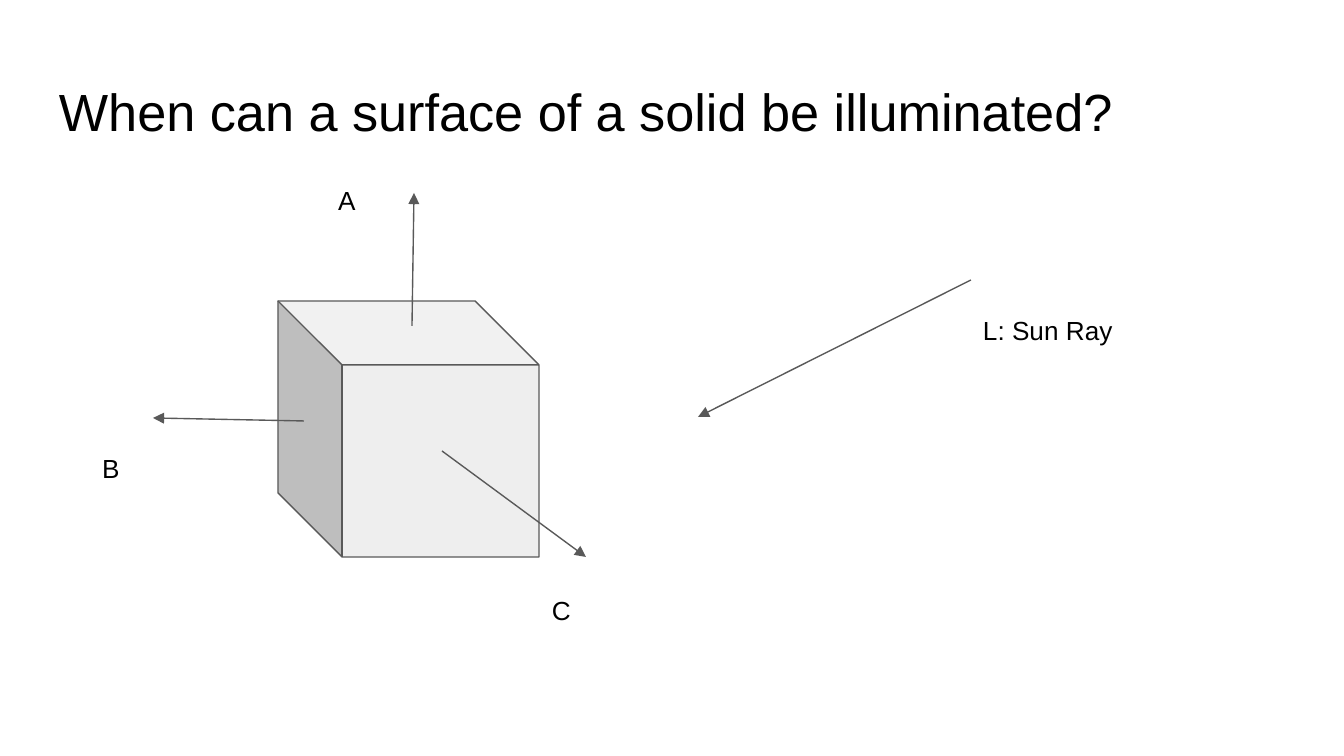
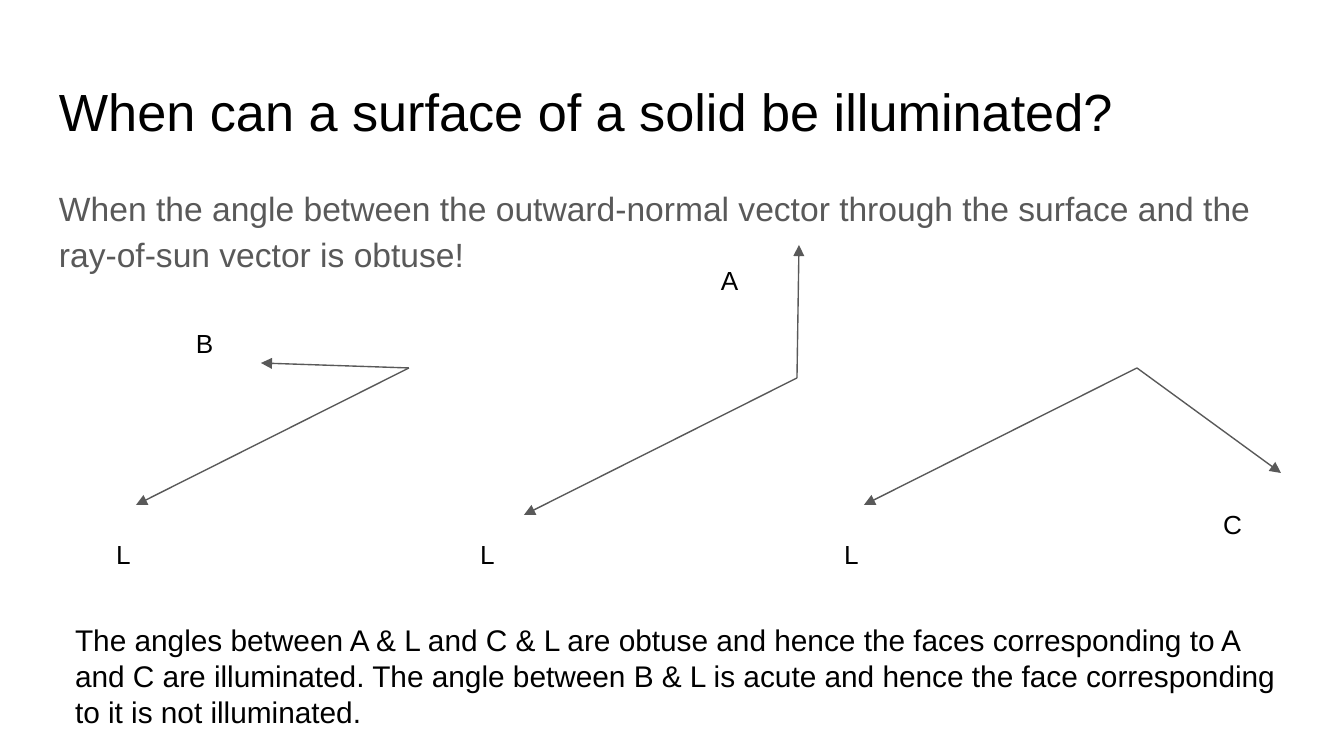
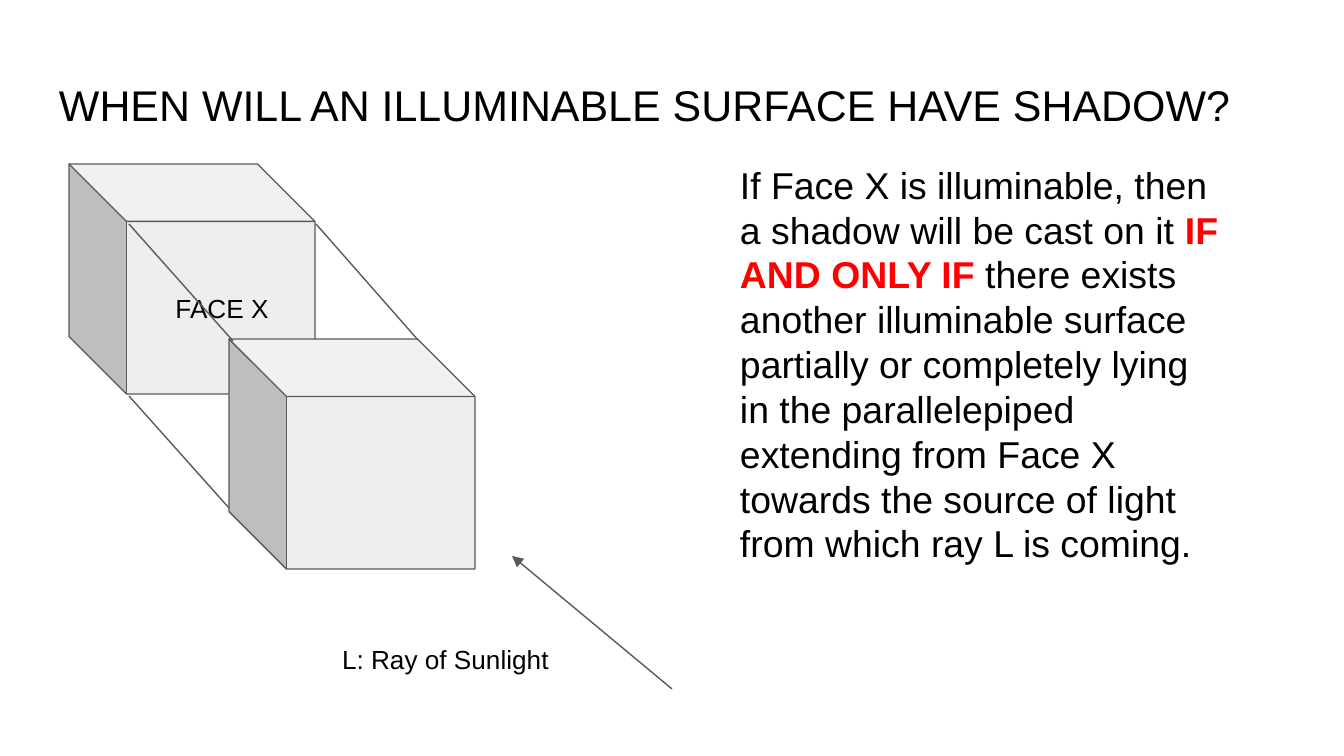
"""Three slides on when the faces of a solid are lit by the sun."""
import pptx
import pptx.dml.color
import pptx.enum.shapes
import pptx.enum.text
import pptx.oxml.ns
import pptx.util
from lxml import etree

RGB = pptx.dml.color.RGBColor
BLACK = RGB(0x00, 0x00, 0x00)
GREY = RGB(0x59, 0x59, 0x59)
PALE = RGB(0xEE, 0xEE, 0xEE)
RED = RGB(0xFF, 0x00, 0x00)
WIDE, HIGH = 1344, 756
SCALE = 9144000 / WIDE
ASK = "When can a surface of a solid be illuminated?"


def px(num):
    return pptx.util.Emu(round(num * SCALE))


def sub(node, tag, **attrs):
    return etree.SubElement(node, pptx.oxml.ns.qn(tag), attrs)


class Deck:
    font = "Arial"
    edge = pptx.util.Pt(0.75)
    inset = 13

    def __init__(self):
        self.prs = pptx.Presentation()
        self.prs.slide_width = px(WIDE)
        self.prs.slide_height = px(HIGH)
        self.slide = None

    def page(self, title, size=28, layout=5):
        self.slide = self.prs.slides.add_slide(self.prs.slide_layouts[layout])
        shape = self.slide.shapes.title
        self.place(shape, 46, 66, 1253, 84)
        self.fill(shape, [(title, BLACK, False)], size)

    def place(self, shape, *box):
        shape.left, shape.top, shape.width, shape.height = map(px, box)

    def fill(self, shape, runs, size, anchor=pptx.enum.text.MSO_ANCHOR.TOP):
        frame = shape.text_frame
        frame.word_wrap = True
        frame.auto_size = pptx.enum.text.MSO_AUTO_SIZE.NONE
        frame.vertical_anchor = anchor
        frame.margin_left = frame.margin_right = px(self.inset)
        frame.margin_top = frame.margin_bottom = px(self.inset)
        para = frame.paragraphs[0]
        para.alignment = pptx.enum.text.PP_ALIGN.LEFT
        para.space_before = pptx.util.Pt(0)
        for text, color, bold in runs:
            run = para.add_run()
            run.text = text
            run.font.name = self.font
            run.font.size = pptx.util.Pt(size)
            run.font.bold = bold
            run.font.color.rgb = color
        return para

    def body(self, text, box):
        shape = self.slide.placeholders[1]
        self.place(shape, *box)
        para = self.fill(shape, [(text, GREY, False)], 18)
        para.line_spacing = 1.15
        para.space_after = pptx.util.Pt(16)
        props = para._p.get_or_add_pPr()
        props.set("marL", "0")
        props.set("indent", "0")
        sub(props, "a:buNone")

    def text(self, runs, box, size=14):
        shape = self.slide.shapes.add_textbox(*map(px, box))
        self.fill(shape, runs, size)

    def label(self, text, left, top, width=63, height=54):
        self.text([(text, BLACK, False)], (left, top, width, height))

    def cube(self, box, text=None):
        kind = pptx.enum.shapes.MSO_SHAPE.CUBE
        shape = self.slide.shapes.add_shape(kind, *map(px, box))
        shape.adjustments[0] = 0.25
        shape._element.spPr.xfrm.set("flipH", "1")
        shape.shadow.inherit = False
        shape.fill.solid()
        shape.fill.fore_color.rgb = PALE
        shape.line.color.rgb = GREY
        shape.line.width = self.edge
        if text:
            para = self.fill(shape, [(text, BLACK, False)], 14,
                             pptx.enum.text.MSO_ANCHOR.MIDDLE)
            para._p.get_or_add_pPr().set("marL", str(px(36)))

    def line(self, start, end, arrow=True):
        kind = pptx.enum.shapes.MSO_CONNECTOR.STRAIGHT
        wire = self.slide.shapes.add_connector(kind, *map(px, start + end))
        wire.line.color.rgb = GREY
        wire.line.width = self.edge
        if arrow:
            sub(wire.line._get_or_add_ln(), "a:tailEnd", type="triangle")
        sub(wire._element.spPr, "a:effectLst")

    def ray(self, start):
        self.line(start, (start[0] - 273, start[1] + 137))


def solid(deck):
    deck.page(ASK)
    deck.cube((278, 301, 261, 256))
    for name, start, end, spot in (
        ("B", (304, 421), (153, 418), (89, 439)),
        ("C", (442, 451), (586, 557), (539, 581)),
        ("A", (412, 326), (414, 193), (325, 171)),
    ):
        deck.line(start, end)
        deck.label(name, *spot, height=62)
    deck.ray((971, 280))
    deck.label("L: Sun Ray", 970, 301, 245, 75)


def angles(deck):
    deck.page(ASK, layout=1)
    deck.body(
        "When the angle between the outward-normal vector through the surface "
        "and the ray-of-sun vector is obtuse!", (46, 169, 1253, 431))
    pairs = (
        ("B", (409, 368), (261, 363), (183, 314)),
        ("A", (797, 378), (799, 245), (708, 251)),
        ("C", (1137, 368), (1281, 473), (1210, 495)),
    )
    for col, (name, start, end, spot) in enumerate(pairs):
        deck.ray(start)
        deck.line(start, end)
        deck.label(name, *spot)
        deck.label("L", 103 + 364 * col, 525)
    note = (
        "The angles between A & L and C & L are obtuse and hence the faces "
        "corresponding to A and C are illuminated. The angle between B & L is "
        "acute and hence the face corresponding to it is not illuminated.")
    deck.text([(note, BLACK, False)], (62, 609, 1236, 134), 16)


def shadow(deck):
    deck.page("WHEN WILL AN ILLUMINABLE SURFACE HAVE SHADOW?", 23)
    deck.cube((69, 164, 246, 230), "FACE X")
    deck.line((672, 689), (512, 556))
    deck.cube((229, 339, 246, 230))
    for start, end in (
        ((418, 340), (316, 224)),
        ((233, 341), (129, 224)),
        ((229, 508), (129, 396)),
    ):
        deck.line(start, end, arrow=False)
    deck.label("L: Ray of Sunlight", 329, 630, 253, 58)
    deck.text([
        ("If Face X is illuminable, then a shadow will be cast on it ",
         BLACK, False),
        ("IF AND ONLY IF", RED, True),
        (" there exists another illuminable surface partially or completely "
         "lying in the parallelepiped extending from Face X towards the "
         "source of light from which ray L is coming.", BLACK, False),
    ], (727, 149, 513, 567), 20)


def main():
    deck = Deck()
    for build in (solid, angles, shadow):
        build(deck)
    deck.prs.save("out.pptx")


if __name__ == "__main__":
    main()
